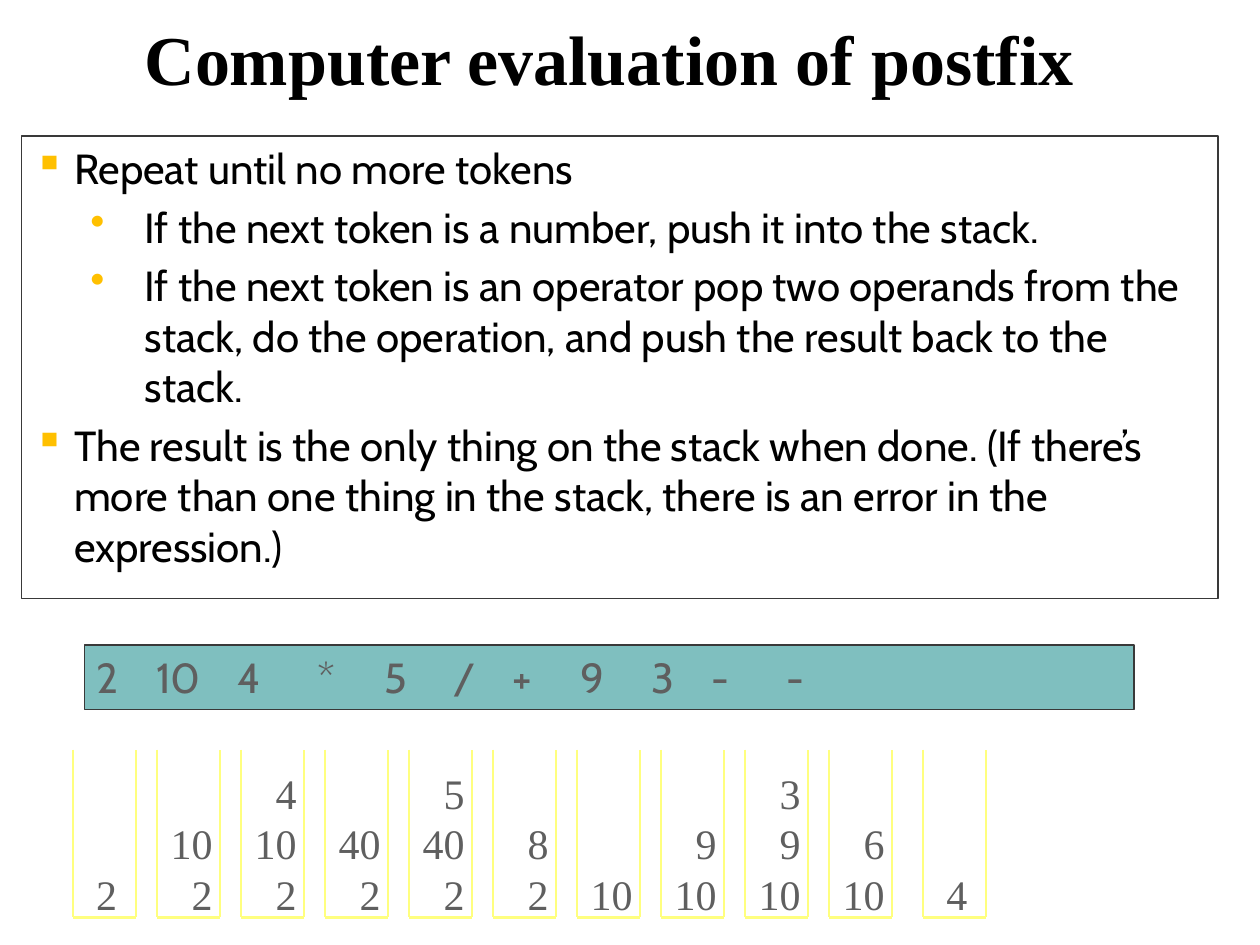
from lxml.etree import SubElement
from pptx import Presentation
from pptx.dml.color import RGBColor
from pptx.enum.shapes import MSO_CONNECTOR, MSO_SHAPE
from pptx.enum.text import MSO_ANCHOR, MSO_AUTO_SIZE, PP_ALIGN
from pptx.oxml.ns import qn
from pptx.util import Inches, Pt

COLORS = {"black": "000000", "gray": "5F5F5F", "border": "393939",
          "teal": "008080", "stack": "FFFF7F", "bullet": "FFC000"}
SERIF, SANS = "Times New Roman", "Cabin"

RULES = [
    (0, "Repeat until no more tokens"),
    (1, "If the next token is a number, push it into the stack."),
    (1, "If the next token is an operator pop two operands from the stack, "
        "do the operation, and push the result back to the stack."),
    (0, "The result is the only thing on the stack when done. (If there’s more "
        "than one thing in the stack, there is an error in the expression.)"),
]
# Bullet character, left margin and hanging indent of each level
LEVELS = [("▪", 0.32, 0.32), ("•", 0.88, 0.43)]

# Each token with its distance from the start of the line
TOKENS = [("2", 0), ("10", 0.47), ("4", 1.12), ("*", 1.75), ("5", 2.28),
          ("/", 2.83), ("+", 3.3), ("9", 3.84), ("3", 4.4), ("-", 4.88),
          ("-", 5.47)]

# Stack contents after each token, top first
STACKS = [["2"], ["10", "2"], ["4", "10", "2"], ["40", "2"], ["5", "40", "2"],
          ["8", "2"], ["10"], ["9", "10"], ["3", "9", "10"], ["6", "10"], ["4"]]


def color(name):
    return RGBColor.from_string(COLORS[name])


def add_text(paragraph, text, font_name, color_name, size=24, bold=False):
    run = paragraph.add_run()
    run.text = text
    run.font.name = font_name
    run.font.size = Pt(size)
    run.font.bold = bold
    run.font.color.rgb = color(color_name)


def add_panel(slide, left, top, width, height, line_width):
    shape = slide.shapes.add_shape(MSO_SHAPE.RECTANGLE, Inches(left), Inches(top),
                                   Inches(width), Inches(height))
    shape.shadow.inherit = False
    shape.line.color.rgb = color("border")
    shape.line.width = Pt(line_width)
    shape.text_frame.word_wrap = True
    shape.text_frame.vertical_anchor = MSO_ANCHOR.TOP
    return shape


def add_title(slide, left, top, width, height):
    title = slide.shapes.title
    title.left, title.top = Inches(left), Inches(top)
    title.width, title.height = Inches(width), Inches(height)
    frame = title.text_frame
    frame.auto_size = MSO_AUTO_SIZE.NONE
    frame.vertical_anchor = MSO_ANCHOR.BOTTOM
    paragraph = frame.paragraphs[0]
    paragraph.alignment = PP_ALIGN.CENTER
    add_text(paragraph, "Computer evaluation of postfix", SERIF, "black", 40, True)


def add_expression(slide, left, top, width, height):
    shape = add_panel(slide, left, top, width, height, 0.75)
    shape.fill.solid()
    shape.fill.fore_color.rgb = color("teal")
    teal = shape.fill._xPr.find(qn("a:solidFill"))[0]
    SubElement(teal, qn("a:alpha"), val="50000")

    paragraph = shape.text_frame.paragraphs[0]
    tabs = SubElement(paragraph._p.get_or_add_pPr(), qn("a:tabLst"))
    for _, offset in TOKENS[1:]:
        SubElement(tabs, qn("a:tab"), pos=str(Inches(offset)), algn="l")
    paragraph.alignment = PP_ALIGN.LEFT
    add_text(paragraph, "\t".join(token for token, _ in TOKENS), SANS, "gray")


def add_stack(slide, left, top, width, height, values):
    group = slide.shapes.add_group_shape()
    right, bottom = left + width, top + height
    # Open-topped container
    corners = [(left, top), (left, bottom), (right, bottom), (right, top)]
    for start, end in zip(corners, corners[1:]):
        side = group.shapes.add_connector(
            MSO_CONNECTOR.STRAIGHT, *(Inches(value) for value in start + end))
        side.line.color.rgb = color("stack")
        side.line.width = Pt(1.5)
        SubElement(side._element.spPr, qn("a:effectLst"))

    # Values, resting on the bottom
    box = group.shapes.add_textbox(Inches(left), Inches(top + 0.08),
                                   Inches(0.67), Inches(1.31))
    frame = box.text_frame
    frame.word_wrap = True
    frame.vertical_anchor = MSO_ANCHOR.BOTTOM
    single_digit = len(values) == 1 and len(values[0]) == 1
    frame.margin_right = Inches(0.32 if single_digit else 0.23)
    for index, value in enumerate(values):
        paragraph = frame.add_paragraph() if index else frame.paragraphs[0]
        paragraph.alignment = PP_ALIGN.RIGHT
        paragraph.line_spacing = Pt(28.8)
        add_text(paragraph, value, SERIF, "gray")


def add_stacks(slide, left, top):
    for index, values in enumerate(STACKS):
        is_result = index == len(STACKS) - 1
        offset = index * 2 / 3 + (0.08 if is_result else 0)
        add_stack(slide, left + offset, top, 0.5, 1.33, values)


def add_rules(slide, left, top, width, height):
    shape = add_panel(slide, left, top, width, height, 1)
    shape.fill.background()
    frame = shape.text_frame
    for index, (level, text) in enumerate(RULES):
        paragraph = frame.add_paragraph() if index else frame.paragraphs[0]
        character, margin, hanging = LEVELS[level]
        properties = paragraph._p.get_or_add_pPr()
        properties.set("marL", str(Inches(margin)))
        properties.set("indent", str(-Inches(hanging)))
        bullet_color = SubElement(properties, qn("a:buClr"))
        SubElement(bullet_color, qn("a:srgbClr"), val=COLORS["bullet"])
        SubElement(properties, qn("a:buChar"), char=character)
        paragraph.level = level
        paragraph.alignment = PP_ALIGN.LEFT
        if index:
            paragraph.space_before = Pt(4.8)
        add_text(paragraph, text, SANS, "black")


def main():
    presentation = Presentation()
    presentation.slide_width, presentation.slide_height = Inches(10), Inches(7.5)
    slide = presentation.slides.add_slide(presentation.slide_layouts[5])
    add_title(slide, 0.25, 0.17, 9.17, 0.67)
    add_expression(slide, 0.67, 5.12, 8.33, 0.51)
    add_stacks(slide, 0.58, 5.95)
    add_rules(slide, 0.17, 1.08, 9.5, 3.67)
    presentation.save("out.pptx")


if __name__ == "__main__":
    main()
